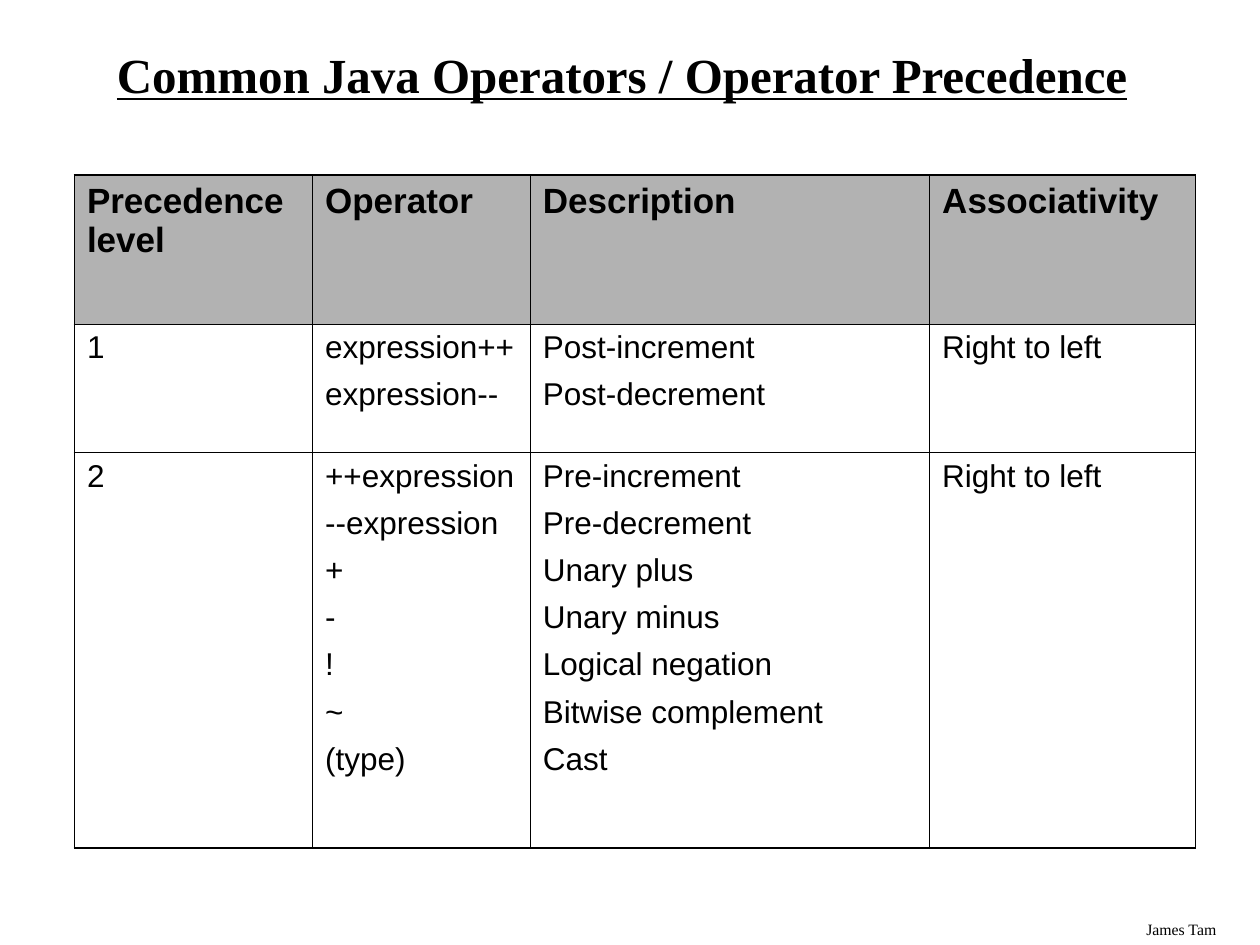
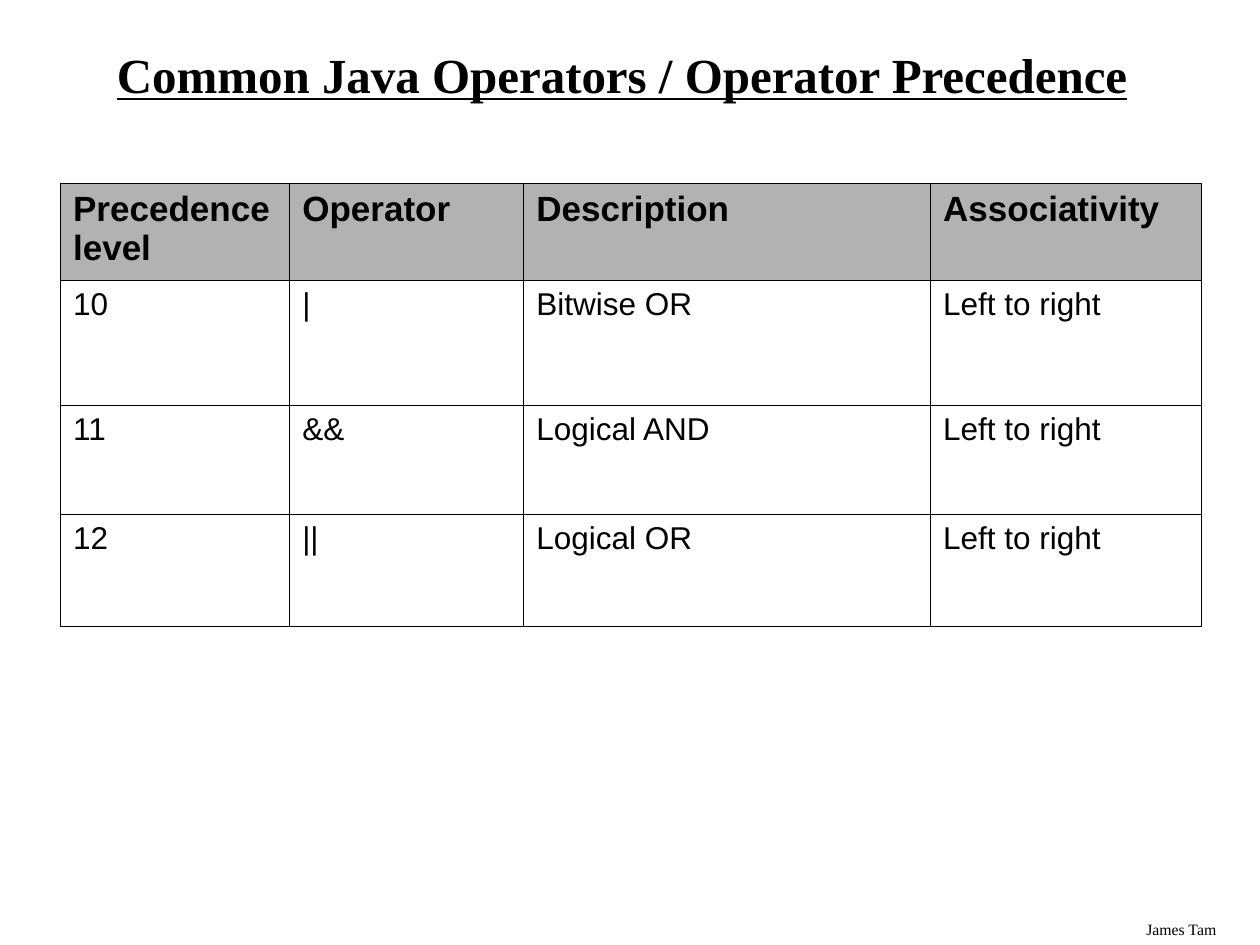
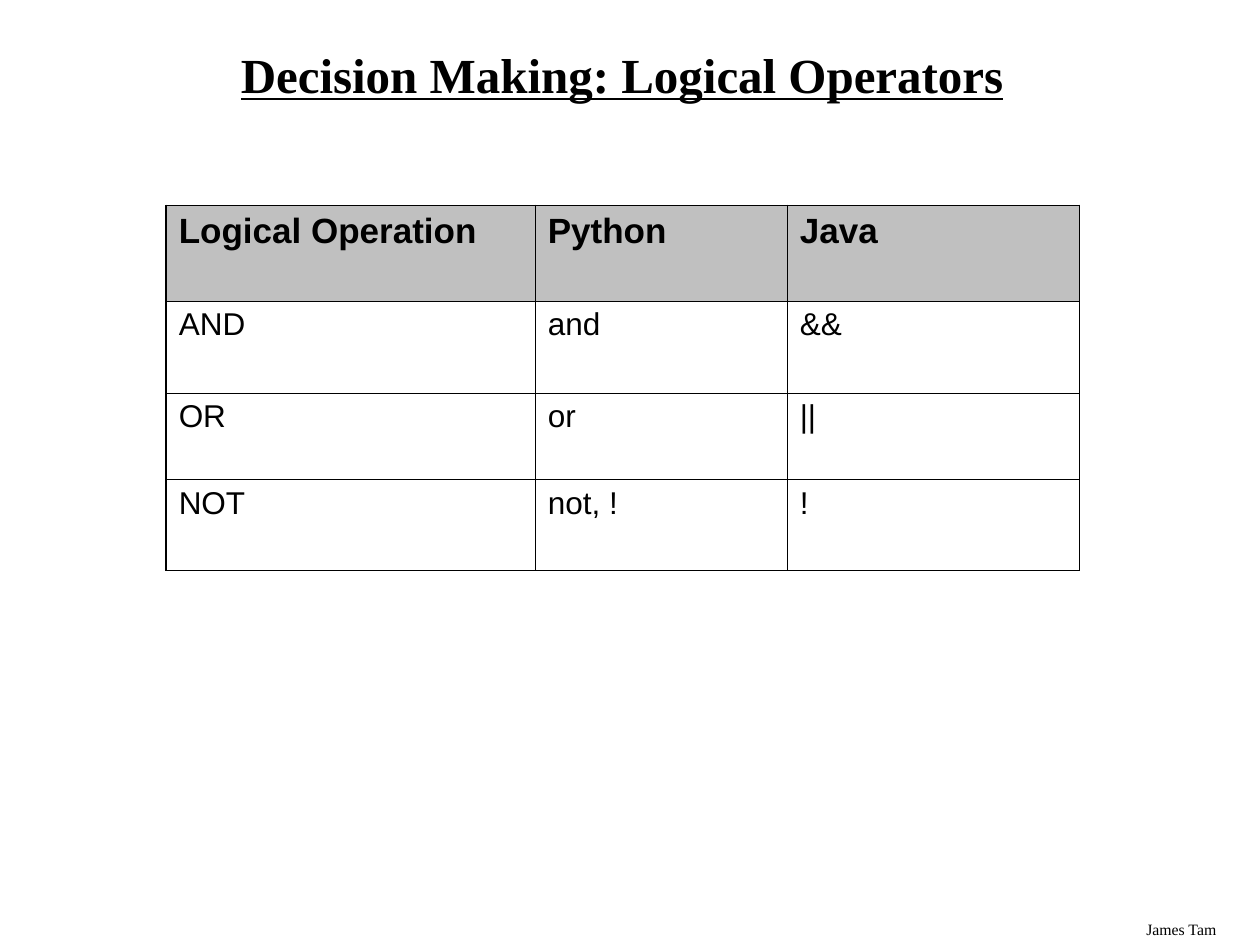
from lxml import etree
from pptx import Presentation
from pptx.dml.color import RGBColor
from pptx.enum import text
from pptx.oxml.ns import qn
from pptx.util import Cm, Pt

BLACK = RGBColor(0, 0, 0)
GREY = RGBColor(0xB2, 0xB2, 0xB2)
SILVER = RGBColor(0xC0, 0xC0, 0xC0)
SERIF, SANS = "Times New Roman", "Arial"
THIN, THICK = Pt(0.45), Pt(1.08)

# Content: each cell holds one paragraph per line
AUTHOR = "James Tam"
TITLE = "Common Java Operators / Operator Precedence"
HEADS = ["Precedence level", "Operator", "Description", "Associativity"]
SLIDES = [
    dict(
        title=TITLE, at=(1.5, 3.53), fill=GREY,
        cols=[4.8, 4.39, 8.05, 5.36], rows=[3, 2.59, 7.98],
        cells=[
            HEADS,
            ["1", "expression++\nexpression--",
             "Post-increment\nPost-decrement", "Right to left"],
            ["2", "++expression\n--expression\n+\n-\n!\n~\n(type)",
             "Pre-increment\nPre-decrement\nUnary plus\nUnary minus\n"
             "Logical negation\nBitwise complement\nCast", "Right to left"],
        ]),
    dict(
        title=TITLE, at=(1.22, 3.7), fill=GREY,
        cols=[4.62, 4.72, 8.2, 5.46], rows=[1.96, 2.51, 2.2, 2.26],
        cells=[
            HEADS,
            ["10", "|", "Bitwise OR", "Left to right"],
            ["11", "&&", "Logical AND", "Left to right"],
            ["12", "||", "Logical OR", "Left to right"],
        ]),
    dict(
        title="Decision Making: Logical Operators", at=(3.35, 4.14), fill=SILVER,
        cols=[7.44, 5.08, 5.89], rows=[1.93, 1.85, 1.75, 1.83],
        cells=[
            ["Logical Operation", "Python", "Java"],
            ["AND", "and", "&&"],
            ["OR", "or", "||"],
            ["NOT", "not, !", "!"],
        ]),
]


def style(para, face, size, bold=False):
    font = para.font
    font.name, font.size, font.bold = face, Pt(size), bold
    font.color.rgb = BLACK


def label(slide, words, box, size, bold=False):
    frame = slide.shapes.add_textbox(*map(Cm, box)).text_frame
    frame.word_wrap = True
    frame.text = words
    para = frame.paragraphs[0]
    style(para, SERIF, size, bold)
    return frame, para


def border(cell, side, width):
    line = etree.SubElement(cell._tc.get_or_add_tcPr(), qn("a:ln" + side), w=str(width))
    fill = etree.SubElement(line, qn("a:solidFill"))
    etree.SubElement(fill, qn("a:srgbClr"), val=str(BLACK))


def grid(slide, at, cols, rows, cells, fill):
    size = sum(cols), sum(rows)
    table = slide.shapes.add_table(len(rows), len(cols), *map(Cm, at + size)).table
    table.first_row = table.horz_banding = False
    for col, width in zip(table.columns, cols):
        col.width = Cm(width)
    for row, height in zip(table.rows, rows):
        row.height = Cm(height)

    for r, line in enumerate(cells):
        for c, words in enumerate(line):
            cell = table.cell(r, c)
            # Thick outer frame, thin inner rules
            edges = dict(L=c == 0, R=c == len(cols) - 1,
                         T=r == 0, B=r == len(rows) - 1)
            for side, outer in edges.items():
                border(cell, side, THICK if outer else THIN)
            head = r == 0
            if head:
                cell.fill.solid()
                cell.fill.fore_color.rgb = fill
            else:
                cell.fill.background()
            cell.text = words
            for n, para in enumerate(cell.text_frame.paragraphs):
                if n:
                    para.space_before = Pt(6.8)
                style(para, SANS, 20 if head else 18, head)


def main():
    deck = Presentation()
    deck.slide_width, deck.slide_height = Cm(25.4), Cm(19.05)
    for page in SLIDES:
        slide = deck.slides.add_slide(deck.slide_layouts[6])
        # Footer
        label(slide, AUTHOR, (22.86, 18.42, 2.54, 0.64), 9)
        # Title
        frame, para = label(slide, page["title"], (1.2, 0.84, 22.68, 1.45), 28, True)
        frame.vertical_anchor = text.MSO_ANCHOR.MIDDLE
        para.alignment = text.PP_ALIGN.CENTER
        para.line_spacing = 0.9
        para.font.underline = True
        # Table
        grid(slide, page["at"], page["cols"], page["rows"], page["cells"], page["fill"])
    deck.save("out.pptx")


if __name__ == "__main__":
    main()
